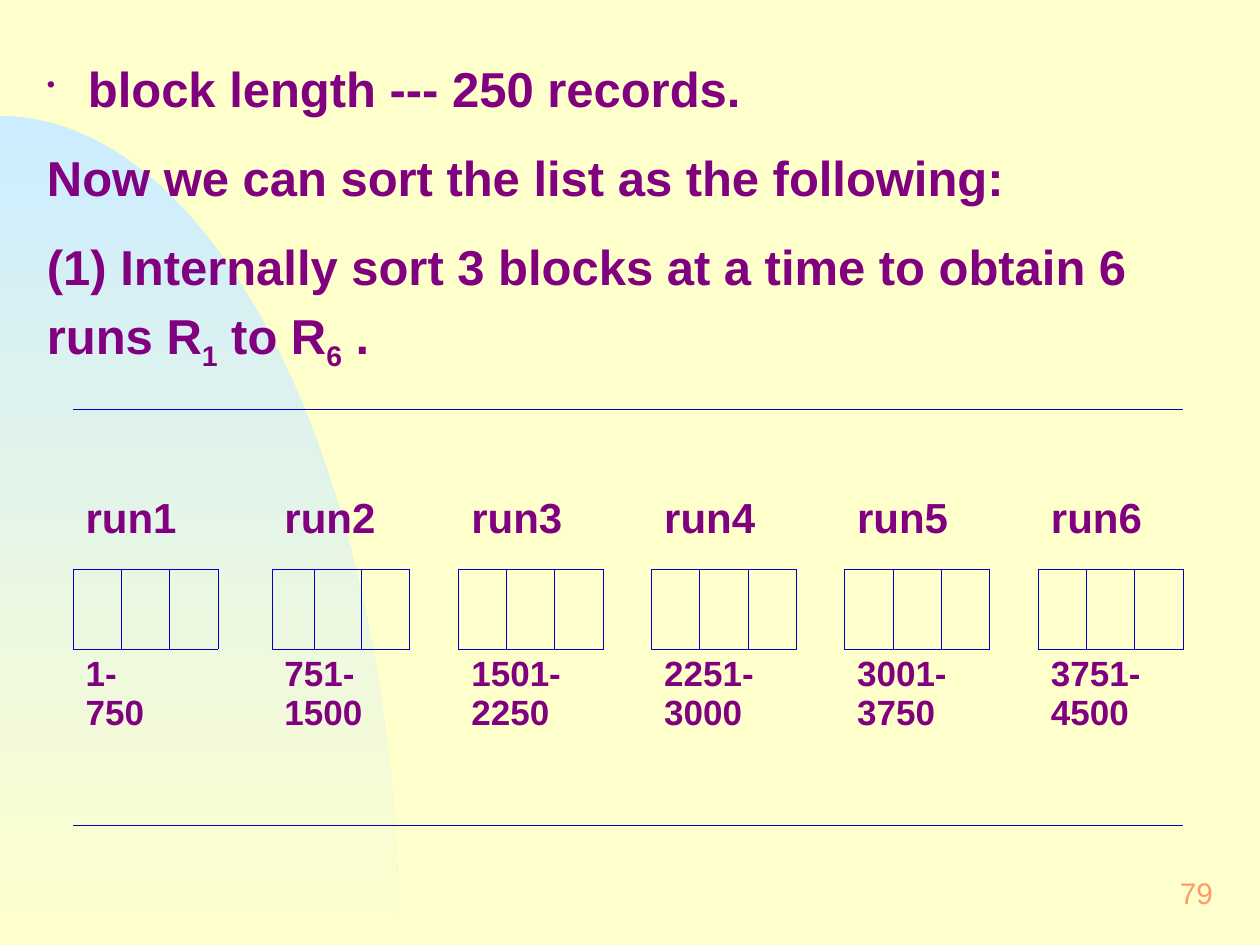
"""Build the slide on internally sorting blocks into six runs."""
import math

from lxml import etree
from pptx import Presentation
from pptx.dml.color import RGBColor
from pptx.enum.text import MSO_ANCHOR, PP_ALIGN
from pptx.oxml.ns import qn
from pptx.util import Emu, Pt

MIDDLE = MSO_ANCHOR.MIDDLE
RIGHT = PP_ALIGN.RIGHT
SCALE = 914400 / 126
FONT = "Arial"
COLORS = {
    "page": "FFFFCC",
    "sky": "CCECFF",
    "text": "800080",
    "border": "0000CC",
    "number": "FF9966",
}
RUN_RANGES = [
    ("1-", "750"),
    ("751-1500",),
    ("1501-2250",),
    ("2251-3000",),
    ("3001-3750",),
    ("3751-4500",),
]
BLOCKS_PER_RUN = 3
RUN_STEP = BLOCKS_PER_RUN + 1


def px(length):
    """Turn a length in px into EMU."""
    return Emu(round(length * SCALE))


def color(name):
    """Look up a named colour."""
    return RGBColor.from_string(COLORS[name])


def add_run(paragraph, text, size, color_name="text", bold=True, subscript=False):
    """Add one formatted run."""
    run = paragraph.add_run()
    run.text = text
    run.font.name = FONT
    run.font.size = Pt(size)
    run.font.bold = bold
    run.font.color.rgb = color(color_name)
    if subscript:
        run.font.subscript = True if hasattr(run.font, "subscript") else None
        run._r.get_or_add_rPr().set("baseline", "-25000")


def add_text_box(slide, left, top, width, height, wrap=True):
    """Add a text box with the slide's insets and return its frame."""
    frame = slide.shapes.add_textbox(px(left), px(top), px(width), px(height)).text_frame
    frame.word_wrap = wrap
    frame.margin_left = frame.margin_right = px(15)
    frame.margin_top = frame.margin_bottom = px(8)
    return frame


def add_bullet(paragraph, indent):
    """Give a paragraph a small hanging bullet."""
    properties = paragraph._p.get_or_add_pPr()
    properties.set("marL", str(px(indent)))
    properties.set("indent", str(-px(indent)))
    bullet_color = etree.SubElement(properties, qn("a:buClr"))
    etree.SubElement(bullet_color, qn("a:srgbClr"), val=COLORS["text"])
    etree.SubElement(properties, qn("a:buSzPct"), val="50000")
    etree.SubElement(properties, qn("a:buChar"), char="•")


def add_backdrop(slide):
    """Draw the fading quarter ellipse at the lower left."""
    width, top, bottom, steps = 399, 116, 945, 90
    angles = [math.pi / 2 * step / steps for step in range(steps + 1)]
    arc = [
        (px(width * math.sin(a)), px(bottom - (bottom - top) * math.cos(a)))
        for a in angles
    ]
    builder = slide.shapes.build_freeform(*arc[0])
    builder.add_line_segments(arc[1:] + [(px(0), px(bottom))], close=True)
    backdrop = builder.convert_to_shape()
    backdrop.shadow.inherit = False
    backdrop.line.fill.background()
    backdrop.fill.gradient()
    backdrop.fill.gradient_angle = 270
    for stop, name in zip(backdrop.fill.gradient_stops, ("sky", "page")):
        stop.color.rgb = color(name)


def add_explanation(slide):
    """Write the block length and the first sorting step."""
    frame = add_text_box(slide, 32, 42, 1207, 326)
    statements = [
        ["block length --- 250 records."],
        ["Now we can sort the list as the following:"],
        ["(1) Internally sort 3 blocks at a time to obtain 6 runs R", "1", " to R", "6", " ."],
    ]
    for index, parts in enumerate(statements):
        paragraph = frame.add_paragraph() if index else frame.paragraphs[0]
        paragraph.line_spacing = 1.15
        if index:
            paragraph.space_before = Pt(12.2)
        else:
            add_bullet(paragraph, 41)
        for part in parts:
            add_run(paragraph, part, 28, subscript=part.isdigit())


def set_borders(cell, sides):
    """Draw the listed sides of a cell and hide the others."""
    properties = cell._tc.get_or_add_tcPr()
    for position, side in enumerate("LRTB"):
        line = etree.Element(qn(f"a:ln{side}"), w=str(Pt(0.45)))
        if side in sides:
            fill = etree.SubElement(line, qn("a:solidFill"))
            etree.SubElement(fill, qn("a:srgbClr"), val=COLORS["border"])
        else:
            etree.SubElement(line, qn("a:noFill"))
        properties.insert(position, line)


def border_sides(row, is_gap):
    """Name the bordered sides of a cell by its row and column role."""
    block_sides = ("T", "B", "LRTB", "T", "B")
    gap_sides = ("T", "", "LR", "", "B")
    return (gap_sides if is_gap else block_sides)[row]


def add_run_label(table, row, column, lines, size):
    """Write a label over the three columns of one run."""
    cell = table.cell(row, column)
    cell.merge(table.cell(row, column + BLOCKS_PER_RUN - 1))
    paragraph = cell.text_frame.paragraphs[0]
    for index, line in enumerate(lines):
        if index:
            paragraph.add_line_break()
        add_run(paragraph, line, size)


def add_runs_table(slide):
    """Show the six runs, their blocks and their record ranges."""
    widths = [48, 48, 49] * 7
    widths[3:3] = [54, 42]
    heights = [80, 80, 80, 97, 80]
    frame = slide.shapes.add_table(
        len(heights), len(widths), px(73), px(409), px(sum(widths)), px(sum(heights))
    )
    table = frame.table
    table.first_row = table.horz_banding = False
    for column, width in zip(table.columns, widths):
        column.width = px(width)
    for row, height in zip(table.rows, heights):
        row.height = px(height)
    for row in range(len(heights)):
        for column in range(len(widths)):
            cell = table.cell(row, column)
            cell.fill.background()
            is_gap = column % RUN_STEP == BLOCKS_PER_RUN
            set_borders(cell, border_sides(row, is_gap))
    for index, record_range in enumerate(RUN_RANGES):
        column = index * RUN_STEP
        add_run_label(table, 1, column, [f"run{index + 1}"], 24)
        add_run_label(table, 3, column, record_range, 20)


def add_page_number(slide):
    """Write the page number at the lower right."""
    frame = add_text_box(slide, 966, 861, 262, 63, wrap=False)
    frame.vertical_anchor = MIDDLE
    paragraph = frame.paragraphs[0]
    paragraph.alignment = RIGHT
    add_run(paragraph, "79", 17, "number", bold=False)


def main():
    """Build and save the slide."""
    presentation = Presentation()
    presentation.slide_width, presentation.slide_height = px(1260), px(945)
    slide = presentation.slides.add_slide(presentation.slide_layouts[6])
    slide.background.fill.solid()
    slide.background.fill.fore_color.rgb = color("page")
    add_backdrop(slide)
    add_page_number(slide)
    add_explanation(slide)
    add_runs_table(slide)
    presentation.save("out.pptx")


if __name__ == "__main__":
    main()
